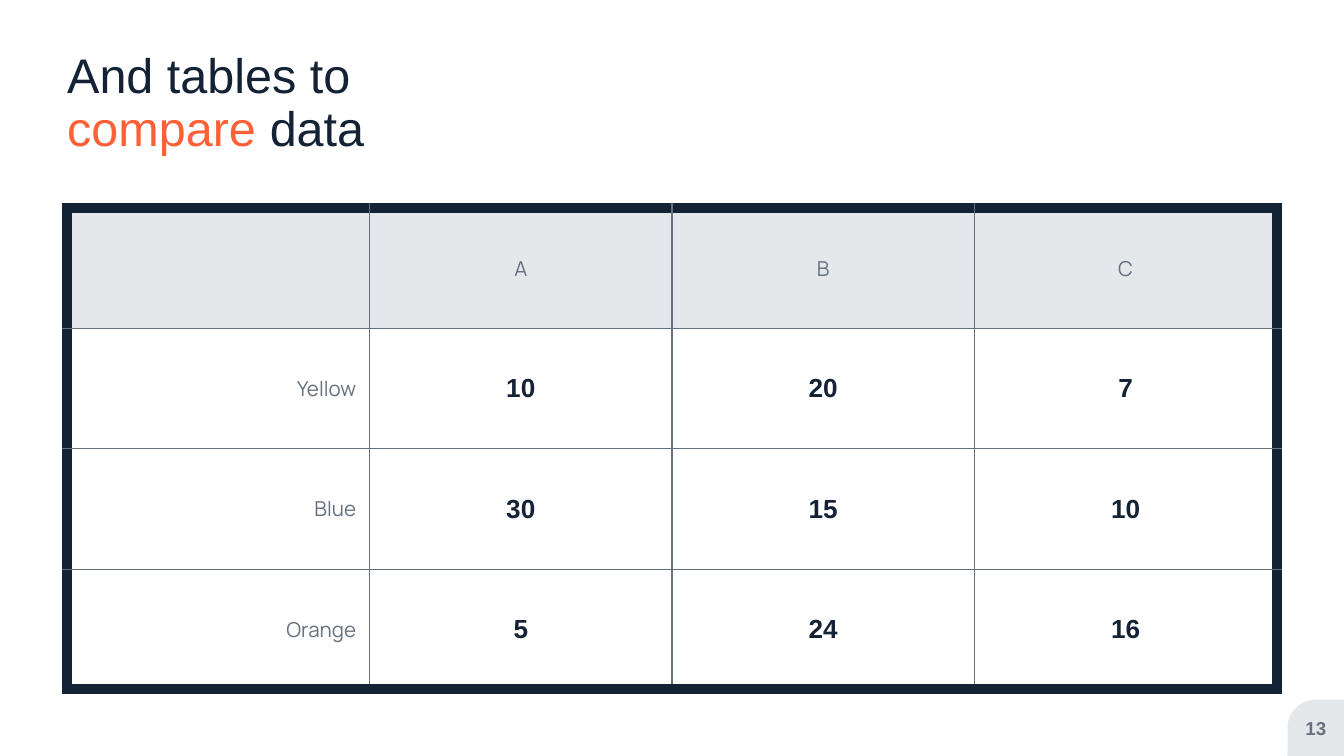
from lxml.etree import SubElement
from pptx import Presentation
from pptx.dml.color import RGBColor
from pptx.enum.shapes import MSO_SHAPE as Shape
from pptx.enum.text import MSO_ANCHOR as Anchor, MSO_AUTO_SIZE as AutoSize, PP_ALIGN as Align
from pptx.oxml.ns import qn
from pptx.util import Inches, Pt

NAVY, ORANGE, GRAY, PALE, WHITE = "142236", "FF6035", "667180", "E5E8EB", "FFFFFF"
TITLE = [("And tables to ", NAVY), ("compare", ORANGE), (" data", NAVY)]
ROWS = [
    ["", "A", "B", "C"],
    ["Yellow", "10", "20", "7"],
    ["Blue", "30", "15", "10"],
    ["Orange", "5", "24", "16"],
]
PAGE_NUMBER = "13"

PAGE_W = 10
PAGE_H = PAGE_W * 9 / 16
MARGIN, TABLE_TOP, TABLE_H = 0.5, 1.55, 3.58
TABLE_W = PAGE_W - 2 * MARGIN
TAB = 0.42
FRAME, RULE = (NAVY, 6), (GRAY, 0.75)


def color(value):
    return RGBColor.from_string(value)


def inches(*lengths):
    return [Inches(length) for length in lengths]


def write(para, text, size, ink, font="Arial", bold=False, align=None):
    para.alignment = align
    span = para.add_run()
    span.text = text
    span.font.size, span.font.name, span.font.bold = Pt(size), font, bold
    span.font.color.rgb = color(ink)


def prepare(frame):
    """Wrap and middle-anchor a text frame without insets."""
    frame.word_wrap, frame.auto_size = True, AutoSize.NONE
    frame.vertical_anchor = Anchor.MIDDLE
    frame.margin_left = frame.margin_right = frame.margin_top = frame.margin_bottom = 0
    return frame.paragraphs[0]


def set_borders(cell, sides):
    """Insert the borders ahead of the fill, as the schema orders them."""
    properties = cell._tc.get_or_add_tcPr()
    for position, (side, (ink, width)) in enumerate(sides.items()):
        line = SubElement(properties, qn(f"a:ln{side}"), w=str(Pt(width)))
        fill = SubElement(line, qn("a:solidFill"))
        SubElement(fill, qn("a:srgbClr"), val=ink)
        properties.insert(position, line)


def add_title(page):
    title = page.shapes.title
    title.left, title.top, title.width, title.height = inches(MARGIN, 0, 3.47, TABLE_TOP)
    para = prepare(title.text_frame)
    para.line_spacing = 0.9
    for text, ink in TITLE:
        write(para, text, 26, ink, align=Align.LEFT)


def add_data_table(page):
    row_count, column_count = len(ROWS), len(ROWS[0])
    place = inches(MARGIN, TABLE_TOP, TABLE_W, TABLE_H)
    table = page.shapes.add_table(row_count, column_count, *place).table
    for column in table.columns:
        column.width = Inches(TABLE_W / column_count)
    for row in table.rows:
        row.height = Inches(TABLE_H / row_count)
    for r, values in enumerate(ROWS):
        for c, text in enumerate(values):
            cell = table.cell(r, c)
            cell.vertical_anchor = Anchor.MIDDLE
            cell.margin_left = cell.margin_right = Inches(0.1)
            cell.margin_top = cell.margin_bottom = Inches(0.07)
            cell.fill.solid()
            cell.fill.fore_color.rgb = color(WHITE if r else PALE)
            set_borders(cell, {
                "L": RULE if c else FRAME,
                "R": RULE if c < column_count - 1 else FRAME,
                "T": RULE if r else FRAME,
                "B": RULE if r < row_count - 1 else FRAME,
            })
            if not text:
                continue
            para = cell.text_frame.paragraphs[0]
            if r and c:
                write(para, text, 14, NAVY, bold=True, align=Align.CENTER)
            else:
                write(para, text, 11, GRAY, "Manrope", align=Align.CENTER if c else Align.RIGHT)


def add_page_number(page):
    place = inches(PAGE_W - TAB, PAGE_H - TAB, TAB, TAB)
    corner = page.shapes.add_shape(Shape.ROUND_1_RECTANGLE, *place)
    corner.adjustments[0] = 0.5
    corner.shadow.inherit = False
    corner.fill.solid()
    corner.fill.fore_color.rgb = color(PALE)
    corner.line.fill.background()
    corner._element.spPr.xfrm.set("flipH", "1")
    box = page.shapes.add_textbox(*place)
    write(prepare(box.text_frame), PAGE_NUMBER, 10, GRAY, bold=True, align=Align.CENTER)


def main():
    deck = Presentation()
    deck.slide_width, deck.slide_height = inches(PAGE_W, PAGE_H)
    page = deck.slides.add_slide(deck.slide_layouts[5])
    add_title(page)
    add_data_table(page)
    add_page_number(page)
    deck.save("out.pptx")


if __name__ == "__main__":
    main()
